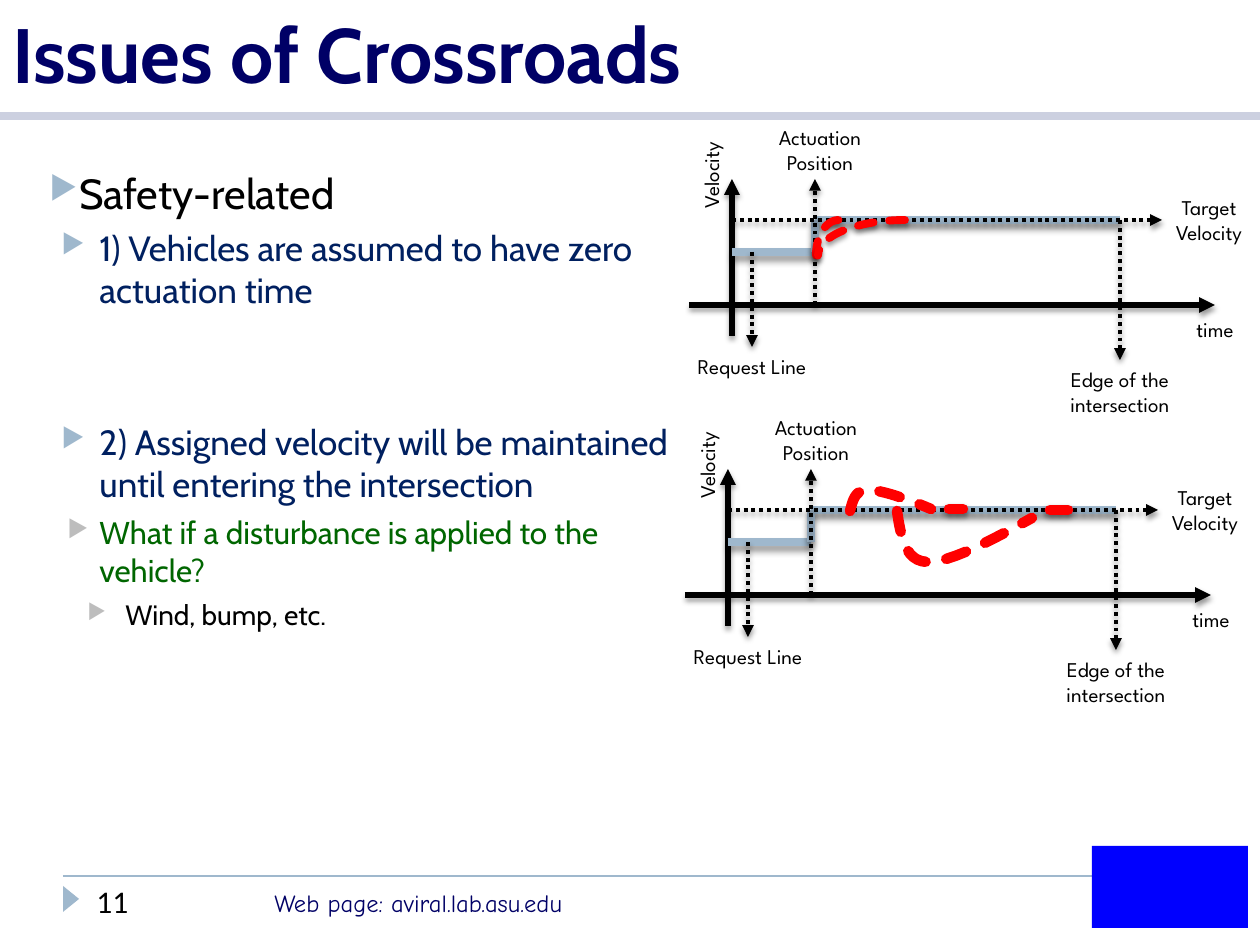
"""Build the slide on safety issues of Crossroads, with two velocity plots."""
from lxml import etree
from pptx import Presentation
from pptx.dml.color import RGBColor
from pptx.enum.dml import MSO_LINE
from pptx.enum.shapes import MSO_CONNECTOR, MSO_SHAPE
from pptx.enum.text import MSO_ANCHOR, PP_ALIGN
from pptx.oxml.ns import qn
from pptx.util import Inches, Pt

PX = 7257
DOT, DASH = MSO_LINE.ROUND_DOT, MSO_LINE.SQUARE_DOT
STRAIGHT = MSO_CONNECTOR.STRAIGHT
ARC, TRI, RECT = MSO_SHAPE.ARC, MSO_SHAPE.ISOSCELES_TRIANGLE, MSO_SHAPE.RECTANGLE
LEFT, MID = PP_ALIGN.LEFT, PP_ALIGN.CENTER
BOTTOM = MSO_ANCHOR.BOTTOM
BLACK, NAVY, STEEL, RED = "000000", "000066", "9FB8CD", "FF0000"
color = RGBColor.from_string

prs = Presentation()
prs.slide_width, prs.slide_height = Inches(10), Inches(7.5)
shapes = prs.slides.add_slide(prs.slide_layouts[6]).shapes


def text(words, at=None, par=None, size=12, font="League Spartan", hue=BLACK,
         bold=False, align=LEFT, anchor=None, turn=0):
    if par is None:
        box = shapes.add_textbox(*[n * PX for n in at])
        box.rotation = turn
        frame = box.text_frame
        frame.word_wrap = True
        frame.vertical_anchor = anchor
        par = frame.paragraphs[0]
    par.alignment = align
    run = par.add_run()
    run.text = words
    run.font.size, run.font.name, run.font.bold = Pt(size), font, bold
    run.font.color.rgb = color(hue)


def stroke(shape, hue, width, dash=None, arrow=False, blur=0, drop=0):
    line = shape.line
    line.color.rgb, line.width = color(hue), Pt(width)
    if dash:
        line.dash_style = dash
    ln = line._get_or_add_ln()
    if dash == DASH:
        ln.set("cap", "rnd")
    if arrow:
        etree.SubElement(ln, qn("a:tailEnd"), type="triangle")
    effect = etree.SubElement(shape.element.spPr, qn("a:effectLst"))
    if blur:
        cast = etree.SubElement(effect, qn("a:outerShdw"), blurRad=str(Pt(blur)),
                                dist=str(Pt(drop)), dir="5400000", rotWithShape="0")
        tone = etree.SubElement(cast, qn("a:srgbClr"), val=BLACK)
        etree.SubElement(tone, qn("a:alpha"), val="40000")


rules = [((63, 876, 1092, 876), STEEL, 1), ((0, 116, 1260, 116), "CCD0E0", 5)]
for ends, hue, width in rules:
    stroke(shapes.add_connector(STRAIGHT, *[n * PX for n in ends]), hue, width)

for kind, at, turn, hue in [(TRI, (58, 891, 26, 16), 90, STEEL),
                            (RECT, (1092, 846, 156, 82), 0, "0000FF")]:
    mark = shapes.add_shape(kind, *[n * PX for n in at])
    mark.rotation = turn
    mark.shadow.inherit = False
    mark.fill.solid()
    mark.fill.fore_color.rgb = color(hue)
    mark.line.fill.background()

text("Issues of Crossroads", (0, 0, 1260, 105), size=44, font="Cabin", hue=NAVY,
     bold=True, anchor=BOTTOM)
text("Web page: aviral.lab.asu.edu", (262, 882, 473, 43), size=14,
     font="Comic Neue", hue=NAVY)
text("11", (84, 876, 178, 50), size=18, font="Calibri")

points = [
    ("Safety-related", 0, 13, 38, 0, 24, BLACK, STEEL),
    ("1) Vehicles are assumed to have zero actuation time",
     1, 50, 38, 5, 20, "002060", STEEL),
    ("2) Assigned velocity will be maintained until entering the intersection",
     1, 50, 38, 63, 20, "002060", STEEL),
    ("What if a disturbance is applied to the vehicle?",
     1, 50, 32, 5, 18, "006600", "BDBDBD"),
    ("Wind, bump, etc.", 1, 76, 38, 5, 16, BLACK, "BDBDBD"),
]
body = shapes.add_textbox(37 * PX, 161 * PX, 678 * PX, 659 * PX).text_frame
body.word_wrap = True
for i, (words, level, left, hang, gap, size, hue, tint) in enumerate(points):
    par = body.add_paragraph() if i else body.paragraphs[0]
    par.level, par.space_before = level, Pt(gap)
    props = par._p.get_or_add_pPr()
    props.set("marL", str(left * PX))
    props.set("indent", str(-hang * PX))
    tone = etree.SubElement(props, qn("a:buClr"))
    etree.SubElement(tone, qn("a:srgbClr"), val=tint)
    etree.SubElement(props, qn("a:buSzPct"), val="76000")
    etree.SubElement(props, qn("a:buChar"), char="▶")
    text(words, par=par, size=size, font="Cabin", hue=hue)

axis = dict(hue=BLACK, width=3, arrow=True, blur=3, drop=2)
guide = dict(axis, width=2.25, dash=DOT)
speed = dict(hue=STEEL, width=4.5, blur=4, drop=3.4)
lines = [
    ((732, 336, 732, 179), axis),
    ((689, 305, 1215, 305), axis),
    ((732, 252, 815, 252), speed),
    ((815, 220, 1120, 220), speed),
    ((1120, 220, 1120, 360), guide),
    ((752, 252, 752, 347), guide),
    ((815, 252, 815, 220), dict(speed, hue="98AFC3")),
    ((732, 220, 1162, 220), guide),
    ((815, 305, 815, 179), guide),
]
labels = [
    ("Request Line", 685, 347, 134, 63, 0),
    ("Actuation Position", 753, 118, 134, 63, 0),
    ("Edge of the intersection", 1045, 360, 150, 63, 0),
    ("Target Velocity", 1142, 188, 134, 63, 0),
    ("time", 1148, 310, 134, 38, 0),
    ("Velocity", 644, 156, 134, 38, 270),
]
for dx, dy in [(0, 0), (-4, 290)]:
    for (x1, y1, x2, y2), look in lines:
        ends = (x1 + dx, y1 + dy, x2 + dx, y2 + dy)
        stroke(shapes.add_connector(STRAIGHT, *[n * PX for n in ends]), **look)
    for words, x, y, w, h, turn in labels:
        text(words, (x + dx, y + dy, w, h), align=MID, turn=turn)

for x, w in [(816, 45), (818, 174)]:
    arc = shapes.add_shape(ARC, x * PX, 220 * PX, w * PX, 71 * PX)
    arc.element.spPr.find(qn("a:xfrm")).set("flipH", "1")
    arc.fill.background()
    stroke(arc, RED, 4.5, DASH, blur=3, drop=2)

waves = [
    ([(850, 511), (853, 500), (855, 490), (868, 490),
      (882, 490), (907, 499), (931, 509)], (949, 509, 963, 509)),
    ([(897, 511), (901, 537), (905, 561), (927, 562),
      (950, 563), (992, 540), (1032, 518)], (1050, 510, 1068, 510)),
]
for knots, tail in waves:
    path = []
    for a, b, c, d in (knots[:4], knots[3:]):
        for t in [n / 12 for n in range(1, 13)]:
            u = 1 - t
            path.append([round(PX * (u**3 * p + 3 * u * u * t * q
                                     + 3 * u * t * t * r + t**3 * s))
                         for p, q, r, s in zip(a, b, c, d)])
    pen = shapes.build_freeform(knots[0][0] * PX, knots[0][1] * PX)
    pen.add_line_segments(path, close=False)
    wave = pen.convert_to_shape()
    wave.fill.background()
    stroke(wave, RED, 6, DASH)
    end = shapes.add_connector(STRAIGHT, *[n * PX for n in tail])
    stroke(end, RED, 6, DASH, blur=3, drop=2)

prs.save("out.pptx")
